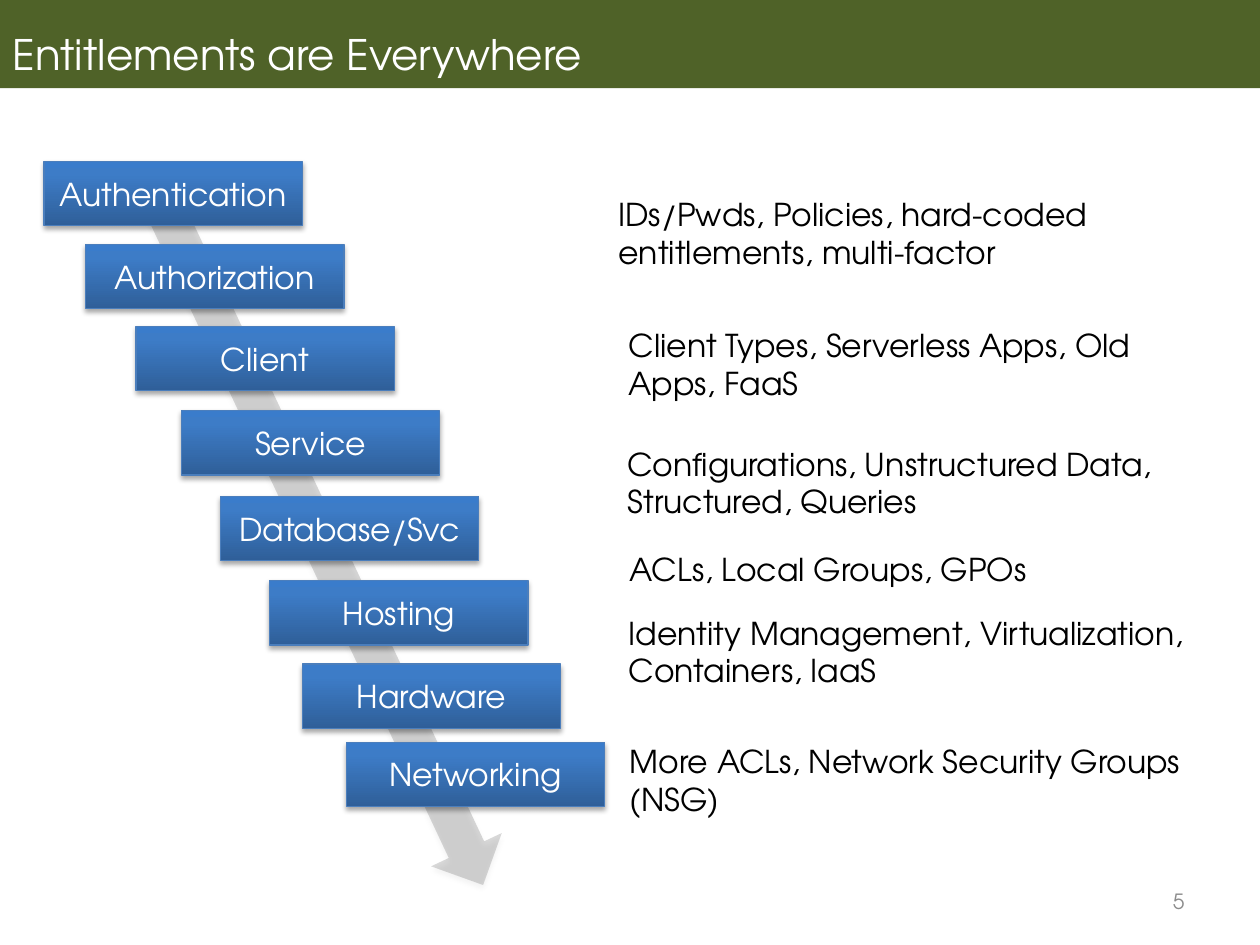
from copy import deepcopy
from dataclasses import dataclass

from lxml.etree import SubElement
from pptx import Presentation
from pptx.dml.color import RGBColor
from pptx.enum.shapes import MSO_SHAPE as Preset
from pptx.enum.text import MSO_ANCHOR as Anchor, MSO_AUTO_SIZE as AutoSize, PP_ALIGN as Align
from pptx.oxml.ns import qn
from pptx.shapes.autoshape import Shape
from pptx.slide import Slide
from pptx.util import Inches, Pt


@dataclass(frozen=True)
class Theme:
    font: str = "TeX Gyre Adventor"
    black: str = "000000"
    white: str = "FFFFFF"
    banner: str = "4F6228"
    page_grey: str = "8C8C8C"
    layer_line: str = "4B7EBC"
    layer_stops: tuple = ((0, "2F5F99"), (0.8, "3D7CC7"), (1, "3A7CCB"))
    title_size: int = 24
    body_size: int = 18
    page_size: int = 12


@dataclass(frozen=True)
class Layer:
    label: str
    left: float
    top: float


@dataclass(frozen=True)
class Note:
    text: str
    left: float
    top: float
    width: float
    height: float = 0.71


THEME = Theme()
LAYER_WIDTH, LAYER_HEIGHT = 2.05, 0.51

LAYERS = (
    Layer("Authentication", 0.35, 1.28),
    Layer("Authorization", 0.68, 1.94),
    Layer("Client", 1.08, 2.59),
    Layer("Service", 1.44, 3.26),
    Layer("Database/Svc", 1.75, 3.94),
    Layer("Hosting", 2.14, 4.61),
    Layer("Hardware", 2.4, 5.27),
    Layer("Networking", 2.75, 5.89),
)

NOTES = (
    Note("IDs/Pwds, Policies, hard-coded entitlements, multi-factor", 4.81, 1.5, 4.51),
    Note("Client Types, Serverless Apps, Old Apps, FaaS", 4.89, 2.54, 4.77),
    Note("Configurations, Unstructured Data, Structured, Queries", 4.88, 3.48, 4.72),
    Note("ACLs, Local Groups, GPOs", 4.9, 4.32, 6.58, 0.4),
    Note("Identity Management, Virtualization, Containers, IaaS", 4.89, 4.82, 4.72),
    Note("More ACLs, Network Security Groups (NSG)", 4.9, 5.84, 4.77),
)


def box(left: float, top: float, width: float, height: float) -> tuple:
    return Inches(left), Inches(top), Inches(width), Inches(height)


def write(shape: Shape, text: str, *, size: int = THEME.body_size,
          color: str = THEME.black, align: Align = Align.LEFT,
          anchor: Anchor = Anchor.TOP, spacing: float = 1.0,
          margin_top: float = 0.05) -> None:
    frame = shape.text_frame
    frame.word_wrap = True
    frame.auto_size = AutoSize.NONE
    frame.vertical_anchor = anchor
    frame.margin_top = Inches(margin_top)
    paragraph = frame.paragraphs[0]
    paragraph.alignment = align
    paragraph.line_spacing = spacing
    run = paragraph.add_run()
    run.text = text
    run.font.name = THEME.font
    run.font.size = Pt(size)
    run.font.color.rgb = RGBColor.from_string(color)


def add_alpha(color_element, percent: int) -> None:
    SubElement(color_element, qn("a:alpha"), val=str(percent * 1000))


def add_shadow(shape: Shape) -> None:
    shape.shadow.inherit = False
    effects = shape.element.spPr.find(qn("a:effectLst"))
    shadow = SubElement(effects, qn("a:outerShdw"), blurRad=str(Pt(3.1)),
                        dist=str(Pt(1.8)), dir="5400000", rotWithShape="0")
    add_alpha(SubElement(shadow, qn("a:srgbClr"), val=THEME.black), 35)


def fill_gradient(shape: Shape) -> None:
    shape.fill.gradient()
    shape.fill.gradient_angle = 90
    stop_list = shape.element.spPr.find(qn("a:gradFill")).find(qn("a:gsLst"))
    stop_list.append(deepcopy(stop_list[-1]))
    for stop, (position, color) in zip(shape.fill.gradient_stops, THEME.layer_stops):
        stop.position = position
        stop.color.rgb = RGBColor.from_string(color)


def draw_title(slide: Slide, text: str) -> None:
    title = slide.shapes.title
    title.left, title.top, title.width, title.height = box(0, -0.01, 10, 0.71)
    title.fill.solid()
    title.fill.fore_color.rgb = RGBColor.from_string(THEME.banner)
    write(title, text, size=THEME.title_size, color=THEME.white,
          spacing=0.9, margin_top=0.28)


def draw_descent(slide: Slide) -> None:
    descent = slide.shapes.add_shape(Preset.RIGHT_ARROW, *box(-0.6, 3.9, 6.22, 0.62))
    descent.rotation = 64.8
    descent.fill.solid()
    descent.fill.fore_color.rgb = RGBColor.from_string(THEME.black)
    add_alpha(descent.element.spPr.find(qn("a:solidFill"))[0], 15)
    descent.line.fill.background()
    add_shadow(descent)


def draw_layer(slide: Slide, layer: Layer) -> None:
    step = slide.shapes.add_shape(
        Preset.RECTANGLE, *box(layer.left, layer.top, LAYER_WIDTH, LAYER_HEIGHT))
    fill_gradient(step)
    step.line.color.rgb = RGBColor.from_string(THEME.layer_line)
    step.line.width = Pt(0.75)
    add_shadow(step)
    write(step, layer.label, color=THEME.white, align=Align.CENTER, anchor=Anchor.MIDDLE)


def draw_note(slide: Slide, note: Note) -> None:
    area = box(note.left, note.top, note.width, note.height)
    write(slide.shapes.add_textbox(*area), note.text)


def draw_page_number(slide: Slide, number: str) -> None:
    page = slide.shapes.add_textbox(*box(7.17, 6.95, 2.33, 0.4))
    write(page, number, size=THEME.page_size, color=THEME.page_grey,
          align=Align.RIGHT, anchor=Anchor.MIDDLE)


def main() -> None:
    deck = Presentation()
    deck.slide_width, deck.slide_height = Inches(10), Inches(7.5)
    slide = deck.slides.add_slide(deck.slide_layouts[5])
    draw_title(slide, "Entitlements are Everywhere")
    draw_descent(slide)
    for layer in LAYERS:
        draw_layer(slide, layer)
    for note in NOTES:
        draw_note(slide, note)
    draw_page_number(slide, "5")
    deck.save("out.pptx")


if __name__ == "__main__":
    main()
